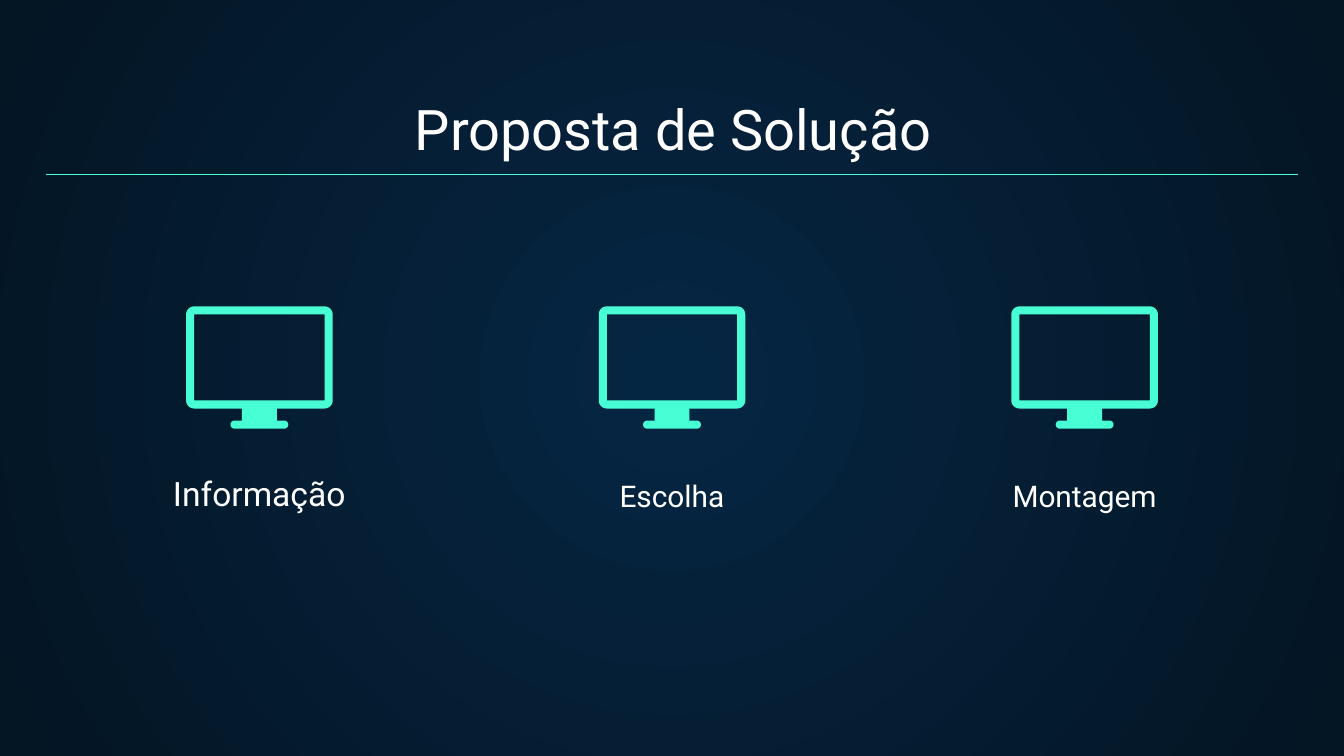
from math import cos, radians, sin

from lxml import etree
from pptx import Presentation
from pptx.dml.color import RGBColor
from pptx.enum.shapes import MSO_CONNECTOR
from pptx.enum.text import MSO_ANCHOR, MSO_AUTO_SIZE, PP_ALIGN
from pptx.oxml import parse_xml
from pptx.oxml.ns import nsdecls, qn
from pptx.util import Inches, Pt

STRAIGHT = MSO_CONNECTOR.STRAIGHT
BOTTOM = MSO_ANCHOR.BOTTOM
NO_AUTOFIT = MSO_AUTO_SIZE.NONE
CENTER = PP_ALIGN.CENTER

WHITE = RGBColor(0xFF, 0xFF, 0xFF)
MINT = RGBColor(0x48, 0xFF, 0xD5)
NAVY = RGBColor(0x05, 0x26, 0x43)
MIDNIGHT = RGBColor(0x04, 0x15, 0x23)

FONT = "Roboto"
WIDTH, HEIGHT = 10, 5.625
MARGIN = 0.34
RULE_TOP = 1.3
COLUMN_PITCH = 3.07
ICON_TOP = 2.28
LABEL_TOP, LABEL_WIDTH, LABEL_HEIGHT = 3.48, 2.27, 0.44
STEPS = [("Informação", 18), ("Escolha", 16), ("Montagem", 16)]


def paint_background(slide):
    """Fill the slide with a gradient radiating from its centre."""
    fill = slide.background.fill
    fill.gradient()
    for stop, color in zip(fill.gradient_stops, (NAVY, MIDNIGHT)):
        stop.color.rgb = color
    gradient = next(slide.element.iter(qn("a:gradFill")))
    gradient.remove(gradient.find(qn("a:lin")))
    gradient.append(parse_xml(
        f'<a:path {nsdecls("a")} path="circle">'
        '<a:fillToRect l="50000" t="50000" r="50000" b="50000"/></a:path>'))


def write_text(shape, text, size):
    """Set one centred line at the bottom of a shape."""
    frame = shape.text_frame
    frame.word_wrap = True
    frame.auto_size = NO_AUTOFIT
    frame.vertical_anchor = BOTTOM
    frame.margin_left = frame.margin_right = Inches(0.1)
    frame.margin_top = frame.margin_bottom = Inches(0.1)
    frame.text = text
    paragraph = frame.paragraphs[0]
    paragraph.alignment = CENTER
    paragraph.font.name = FONT
    paragraph.font.size = Pt(size)
    paragraph.font.color.rgb = WHITE


def add_title(slide, text):
    """Place and format the title placeholder."""
    title = slide.shapes.title
    title.left, title.top = Inches(0.35), Inches(0.64)
    title.width, title.height = Inches(9.32), Inches(0.66)
    write_text(title, text, 30)


def add_rule(slide):
    """Draw the thin line below the title."""
    rule = slide.shapes.add_connector(
        STRAIGHT, Inches(MARGIN), Inches(RULE_TOP),
        Inches(WIDTH - MARGIN), Inches(RULE_TOP))
    rule.line.color.rgb = MINT
    rule.line.width = Pt(0.75)
    etree.SubElement(rule.element.spPr, qn("a:effectLst"))


def arc(x, y, radius, start, end):
    """Return points along an arc, with angles in degrees."""
    angles = [radians(start + (end - start) * step / 12) for step in range(13)]
    return [(x + radius * cos(angle), y + radius * sin(angle))
            for angle in angles]


def add_monitor(slide, center):
    """Draw a monitor with an open screen, symmetric about its centre."""
    right = (arc(0.485, 0.06, 0.06, -90, 0) + arc(0.485, 0.7, 0.06, 0, 90)
             + [(0.13, 0.76), (0.13, 0.85)] + arc(0.185, 0.88, 0.03, -90, 90))
    outline = right + [(-x, y) for x, y in reversed(right)]
    screen = [(0.485, 0.06), (-0.485, 0.06), (-0.485, 0.7), (0.485, 0.7)]
    outline, screen = (
        [(Inches(center + x), Inches(ICON_TOP + y)) for x, y in points]
        for points in (outline, screen))
    builder = slide.shapes.build_freeform(*outline[0])
    builder.add_line_segments(outline[1:])
    builder.move_to(*screen[0])
    builder.add_line_segments(screen[1:])
    monitor = builder.convert_to_shape()
    monitor.shadow.inherit = False
    monitor.fill.solid()
    monitor.fill.fore_color.rgb = MINT
    monitor.line.fill.background()


def add_label(slide, center, text, size):
    """Add a caption centred on its column."""
    label = slide.shapes.add_textbox(
        Inches(center - LABEL_WIDTH / 2), Inches(LABEL_TOP),
        Inches(LABEL_WIDTH), Inches(LABEL_HEIGHT))
    write_text(label, text, size)


def main():
    """Build the slide and save it."""
    presentation = Presentation()
    presentation.slide_width = Inches(WIDTH)
    presentation.slide_height = Inches(HEIGHT)
    slide = presentation.slides.add_slide(presentation.slide_layouts[5])
    paint_background(slide)
    add_title(slide, "Proposta de Solução")
    for column, (text, size) in enumerate(STEPS):
        center = WIDTH / 2 + (column - 1) * COLUMN_PITCH
        add_label(slide, center, text, size)
        add_monitor(slide, center)
    add_rule(slide)
    presentation.save("out.pptx")


if __name__ == "__main__":
    main()
